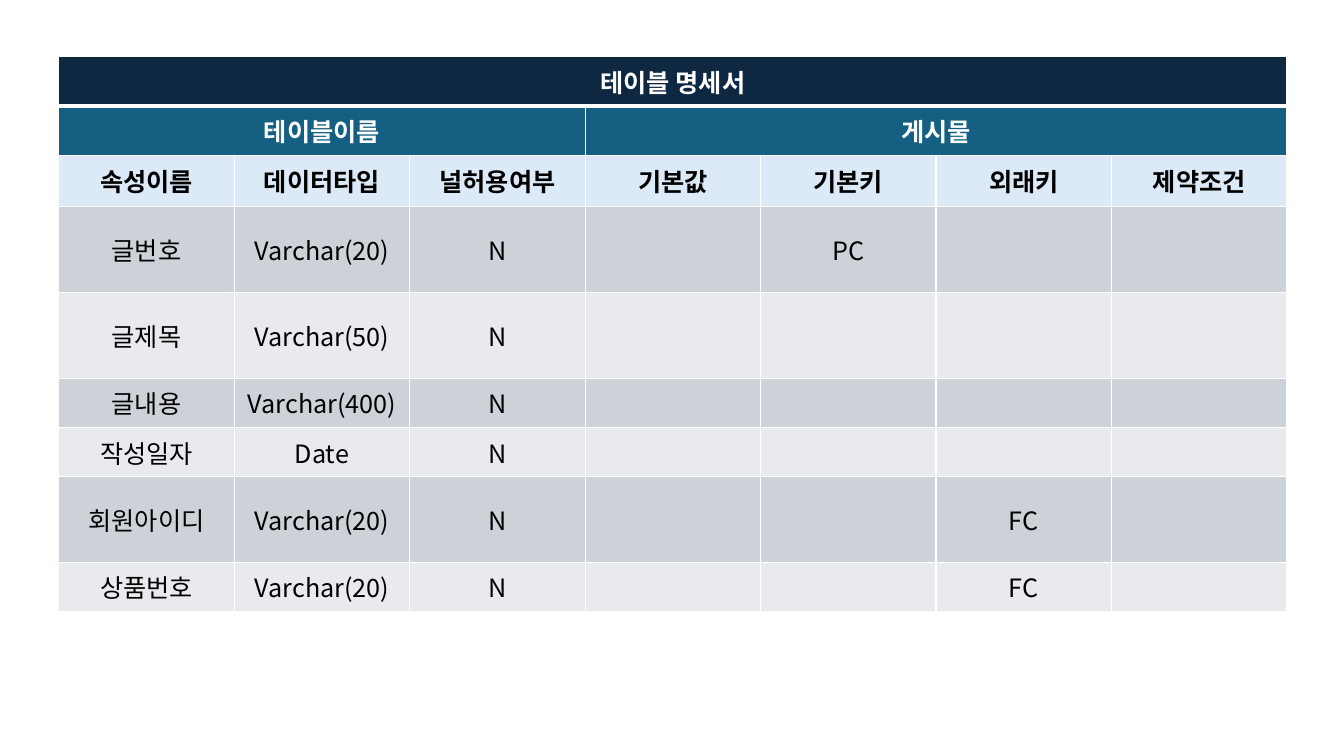
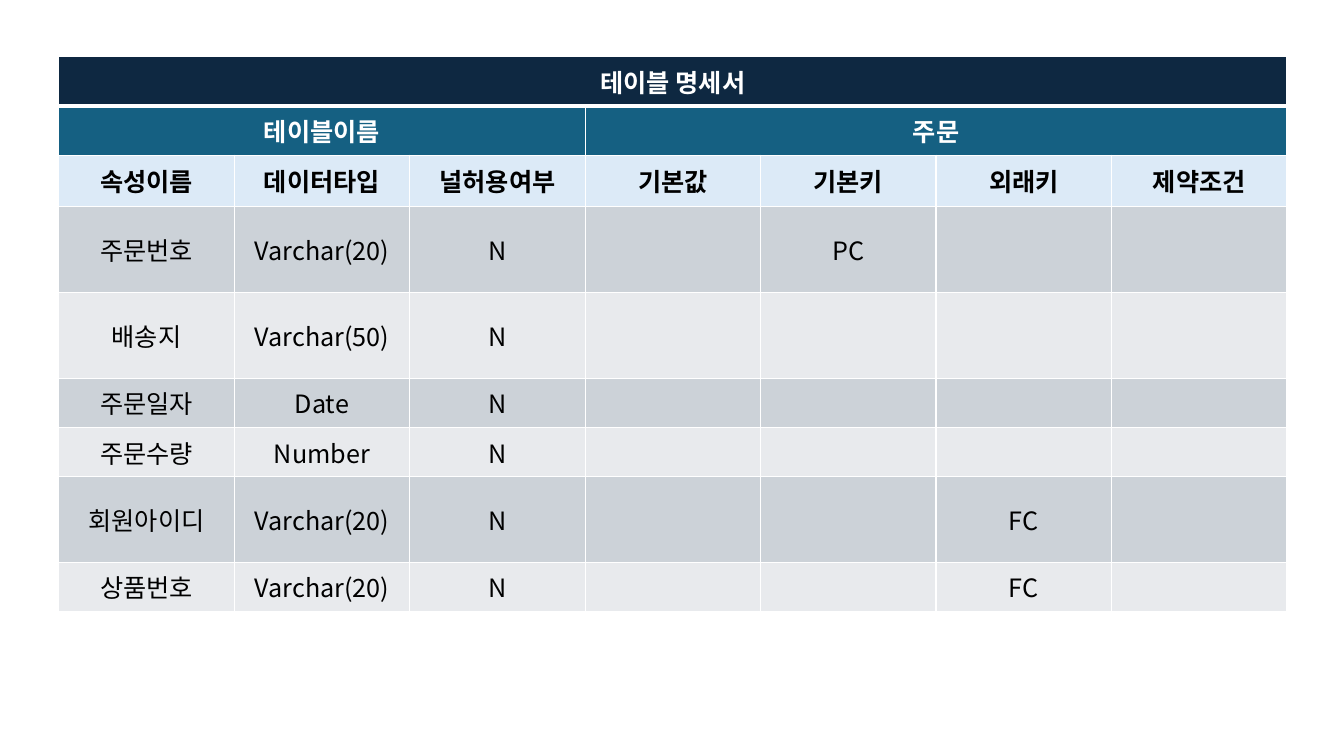
"""Build two slides, each holding the specification of one database table."""
from lxml import etree
from pptx import Presentation
from pptx.dml.color import RGBColor
from pptx.enum import text
from pptx.oxml import ns
from pptx.util import Cm, Pt

FONT = "Noto Sans CJK KR"
WHITE = RGBColor(0xFF, 0xFF, 0xFF)
BLACK = RGBColor(0x00, 0x00, 0x00)
NAVY = RGBColor(0x0E, 0x28, 0x41)
TEAL = RGBColor(0x15, 0x60, 0x82)
PALE_BLUE = RGBColor(0xDC, 0xEA, 0xF7)
BANDS = (RGBColor(0xCC, 0xD2, 0xD8), RGBColor(0xE8, 0xEA, 0xED))

LEFT, TOP, WIDTH = Cm(1.48), Cm(1.43), Cm(30.96)
SHORT, HEADING, TALL = Cm(1.24), Cm(1.3), Cm(2.16)
ROW_HEIGHTS = (SHORT, SHORT, HEADING, TALL, TALL, SHORT, SHORT, TALL, SHORT)
THIN, THICK = Pt(1), Pt(3)
NAME_SPAN = 3

TITLE = "테이블 명세서"
NAME_LABEL = "테이블이름"
HEADINGS = ("속성이름", "데이터타입", "널허용여부", "기본값", "기본키", "외래키", "제약조건")
SHARED_FIELDS = (
    ("회원아이디", "Varchar(20)", "N", "", "", "FC", ""),
    ("상품번호", "Varchar(20)", "N", "", "", "FC", ""),
)
SPECIFICATIONS = {
    "게시물": (
        ("글번호", "Varchar(20)", "N", "", "PC", "", ""),
        ("글제목", "Varchar(50)", "N", "", "", "", ""),
        ("글내용", "Varchar(400)", "N", "", "", "", ""),
        ("작성일자", "Date", "N", "", "", "", ""),
        *SHARED_FIELDS,
    ),
    "주문": (
        ("주문번호", "Varchar(20)", "N", "", "PC", "", ""),
        ("배송지", "Varchar(50)", "N", "", "", "", ""),
        ("주문일자", "Date", "N", "", "", "", ""),
        ("주문수량", "Number", "N", "", "", "", ""),
        *SHARED_FIELDS,
    ),
}


def set_borders(cell, top, bottom):
    properties = cell._tc.get_or_add_tcPr()
    sides = (("lnL", THIN), ("lnR", THIN), ("lnT", top), ("lnB", bottom))
    for position, (side, width) in enumerate(sides):
        line = etree.Element(ns.qn(f"a:{side}"), w=str(int(width)))
        fill = etree.SubElement(line, ns.qn("a:solidFill"))
        etree.SubElement(fill, ns.qn("a:srgbClr"), val=str(WHITE))
        properties.insert(position, line)


def write_cell(cell, content, color, bold):
    cell.vertical_anchor = text.MSO_ANCHOR.MIDDLE
    cell.text_frame.text = content
    para = cell.text_frame.paragraphs[0]
    para.alignment = text.PP_ALIGN.CENTER
    para.font.size = Pt(18)
    for span in para.runs:
        font = span.font
        font.size, font.bold, font.name = Pt(18), bold, FONT
        font.color.rgb = color
        etree.SubElement(span._r.get_or_add_rPr(), ns.qn("a:ea"), typeface=FONT)


def fill_row(table, index, values, fill, color=BLACK, bold=False):
    top = THICK if index == 1 else THIN
    bottom = THICK if index == 0 else THIN
    for column, content in enumerate(values):
        cell = table.cell(index, column)
        cell.fill.solid()
        cell.fill.fore_color.rgb = fill
        set_borders(cell, top, bottom)
        write_cell(cell, content, color, bold)


def add_specification(page, name, fields):
    count = len(HEADINGS)
    frame = page.shapes.add_table(
        len(ROW_HEIGHTS), count, LEFT, TOP, WIDTH, sum(ROW_HEIGHTS))
    table = frame.table
    table.horz_banding = False
    for row, height in zip(table.rows, ROW_HEIGHTS):
        row.height = height

    names = [""] * count
    names[0], names[NAME_SPAN] = NAME_LABEL, name
    fill_row(table, 0, [TITLE] + [""] * (count - 1), NAVY, WHITE, True)
    fill_row(table, 1, names, TEAL, WHITE, True)
    fill_row(table, 2, HEADINGS, PALE_BLUE, bold=True)
    for number, field in enumerate(fields):
        fill_row(table, number + 3, field, BANDS[number % 2])

    for row, first, last in ((0, 0, count), (1, 0, NAME_SPAN), (1, NAME_SPAN, count)):
        table.cell(row, first).merge(table.cell(row, last - 1))


def main():
    deck = Presentation()
    deck.slide_width, deck.slide_height = Cm(33.87), Cm(19.05)
    for name, fields in SPECIFICATIONS.items():
        page = deck.slides.add_slide(deck.slide_layouts[6])
        add_specification(page, name, fields)
    deck.save("out.pptx")


if __name__ == "__main__":
    main()
